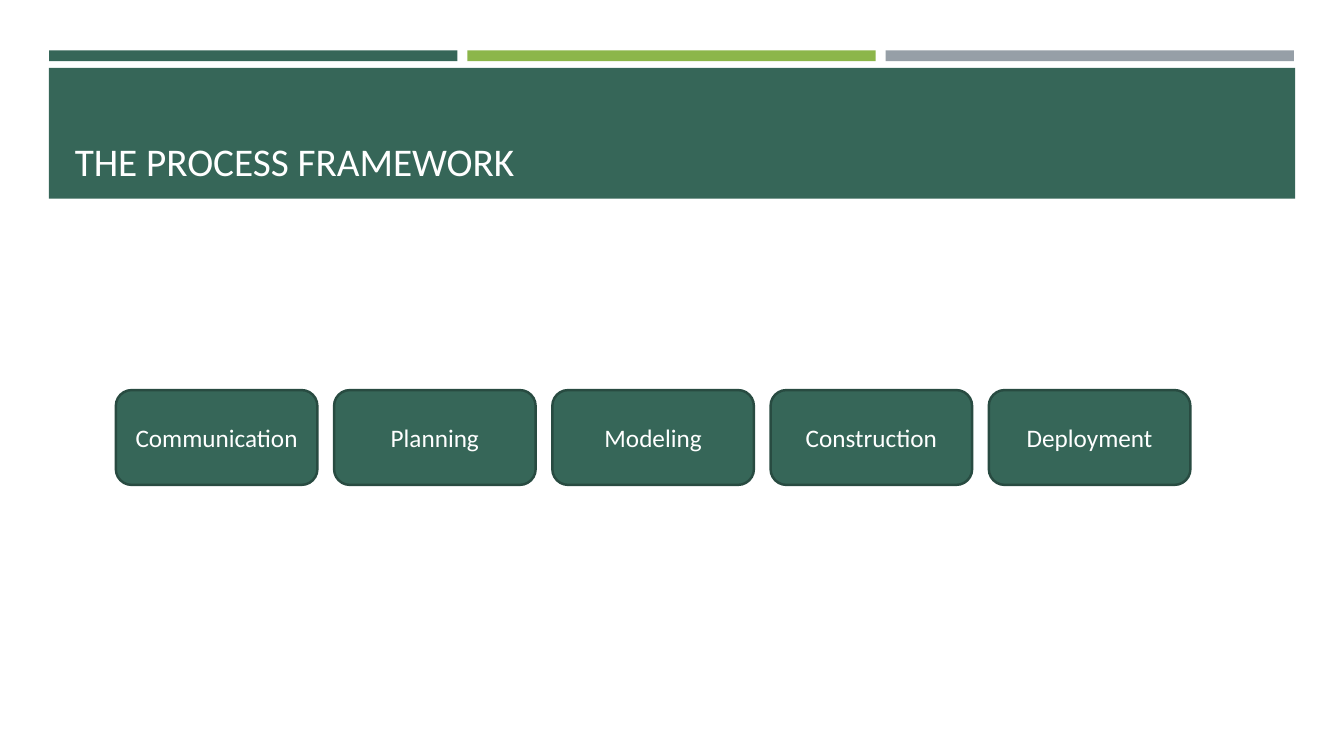
from pptx import Presentation
from pptx import util as u
from pptx.dml.color import RGBColor
from pptx.enum import shapes, text

COLORS = {
    "green": "366658",
    "lime": "8CB64A",
    "grey": "969FA7",
    "outline": "284B41",
    "white": "FFFFFF",
}


class FrameworkSlide:
    """Holds the style and the current slide."""

    font_name = "Calibri"

    def __init__(self, deck):
        self.slide = deck.slides.add_slide(deck.slide_layouts[5])

    def color(self, key):
        return RGBColor.from_string(COLORS[key])

    def place(self, kind, left, top, width, height, fill):
        shape = self.slide.shapes.add_shape(
            kind, u.Cm(left), u.Cm(top), u.Cm(width), u.Cm(height))
        shape.shadow.inherit = False
        shape.fill.solid()
        shape.fill.fore_color.rgb = self.color(fill)
        return shape

    def label(self, shape, wording, size, align, anchor):
        frame = shape.text_frame
        frame.word_wrap = True
        frame.auto_size = text.MSO_AUTO_SIZE.NONE
        frame.vertical_anchor = anchor
        frame.text = wording
        paragraph = frame.paragraphs[0]
        paragraph.alignment = align
        paragraph.font.name = self.font_name
        paragraph.font.size = u.Pt(size)
        paragraph.font.color.rgb = self.color("white")

    def bar(self, left, top, width, height, fill):
        bar = self.place(shapes.MSO_SHAPE.RECTANGLE, left, top, width, height, fill)
        bar.line.fill.background()
        return bar

    def title(self, wording, left, top, width, height, banner):
        title = self.slide.shapes.title
        title.left, title.top = u.Cm(left), u.Cm(top)
        title.width, title.height = u.Cm(width), u.Cm(height)
        self.label(title, wording, 28, text.PP_ALIGN.LEFT, text.MSO_ANCHOR.BOTTOM)
        # Keep the heading in front of its banner
        banner.element.addnext(title.element)

    def activity(self, wording, left, top, width, height):
        box = self.place(shapes.MSO_SHAPE.ROUNDED_RECTANGLE,
                         left, top, width, height, "green")
        box.line.color.rgb = self.color("outline")
        box.line.width = u.Pt(1.75)
        self.label(box, wording, 18, text.PP_ALIGN.CENTER, text.MSO_ANCHOR.MIDDLE)


def main():
    deck = Presentation()
    deck.slide_width, deck.slide_height = u.Cm(33.87), u.Cm(19.05)
    framework = FrameworkSlide(deck)

    # Accent strips
    for column, fill in enumerate(("green", "lime", "grey")):
        framework.bar(1.24 + column * 10.54, 1.27, 10.29, 0.27, fill)

    # Heading banner
    banner = framework.bar(1.23, 1.71, 31.41, 3.3, "green")
    framework.title("THE PROCESS FRAMEWORK", 1.63, 1.96, 30.63, 2.82, banner)

    # Framework activities
    activities = ("Communication", "Planning", "Modeling", "Construction", "Deployment")
    for column, activity in enumerate(activities):
        framework.activity(activity, 2.92 + column * 5.5, 9.83, 5.08, 2.39)

    deck.save("out.pptx")


if __name__ == "__main__":
    main()
